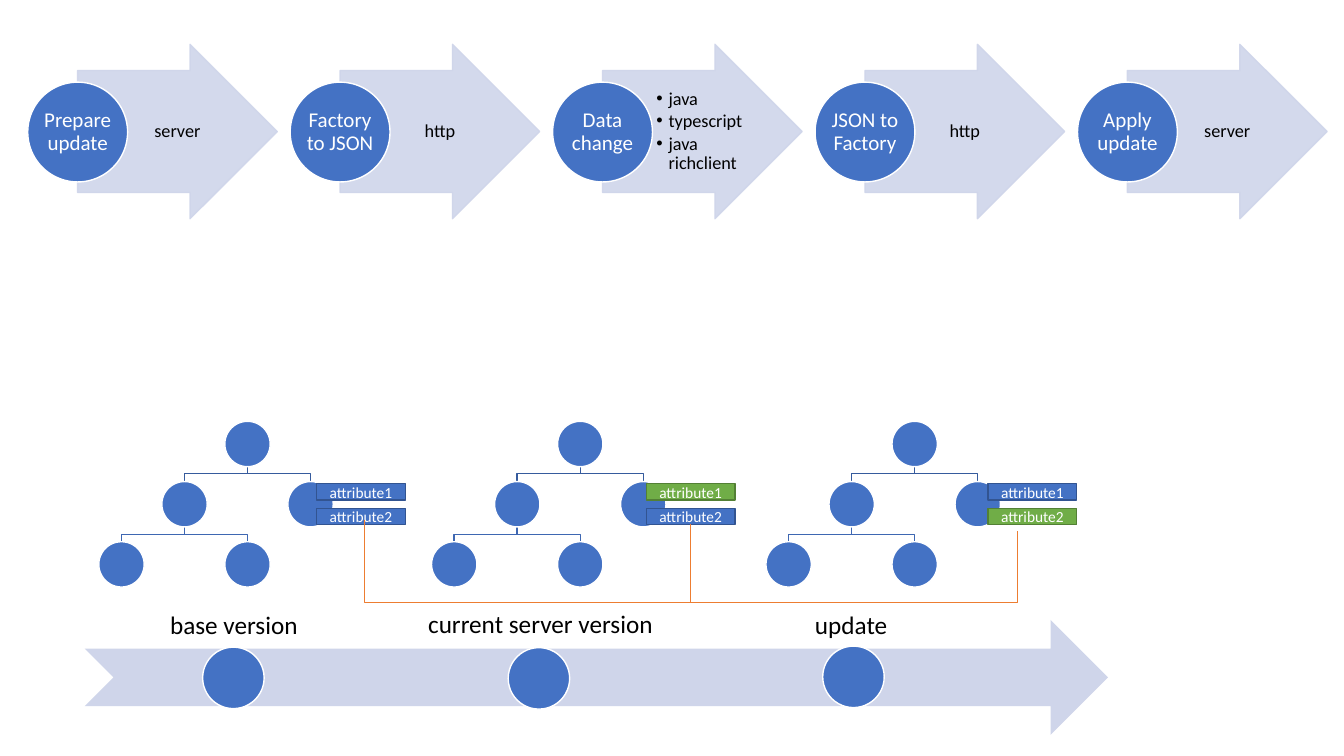
from lxml.etree import SubElement
from pptx import Presentation
from pptx.dml.color import RGBColor
from pptx.enum.shapes import MSO_CONNECTOR, MSO_SHAPE
from pptx.enum.text import MSO_ANCHOR, PP_ALIGN
from pptx.oxml.ns import qn
from pptx.util import Inches, Pt

BLUE, GREEN, PALE, WHITE, BLACK = "4472C4", "70AD47", "CFD5EA", "FFFFFF", "000000"
ORANGE = "ED7D31"
EDGES = {BLUE: "325491", GREEN: "538035"}


def color(form, code):
    """Set a fill or font colour format to a hex colour."""
    form.rgb = RGBColor.from_string(code)


def box(*sizes):
    """Turn inch numbers into lengths."""
    return [Inches(size) for size in sizes]


def fade(shape):
    """Make the fill and line of a shape 90 percent opaque."""
    for tone in shape._element.spPr.iter(qn("a:srgbClr")):
        SubElement(tone, qn("a:alpha"), val="90000")


def form(shapes, kind, place, fill, edge=None):
    """Add a flat preset shape."""
    shape = shapes.add_shape(kind, *box(*place))
    shape.shadow.inherit = False
    shape.fill.solid()
    color(shape.fill.fore_color, fill)
    if edge:
        color(shape.line.color, edge)
        shape.line.width = Pt(1)
    else:
        shape.line.fill.background()
    return shape


def ball(shapes, x, y, size):
    """Add a blue circle centred on a point."""
    place = (x - size / 2, y - size / 2, size, size)
    return form(shapes, MSO_SHAPE.OVAL, place, BLUE, WHITE)


def write(shape, lines, size, tone, pads=(0, 0, 0, 0), space=0.9, bullet=False):
    """Fill a shape with lines of text, centred or bulleted."""
    frame = shape.text_frame
    frame.word_wrap = True
    frame.vertical_anchor = MSO_ANCHOR.MIDDLE
    (frame.margin_left, frame.margin_top,
     frame.margin_right, frame.margin_bottom) = box(*pads)
    frame.text = "\n".join(lines)
    for para in frame.paragraphs:
        para.font.name, para.font.size = "Calibri", Pt(size)
        color(para.font.color, tone)
        para.line_spacing = space
        para.alignment = PP_ALIGN.LEFT if bullet else PP_ALIGN.CENTER
        if bullet:
            para.space_after = Pt(2)
            props = para._p.get_or_add_pPr()
            props.set("marL", str(Inches(0.12)))
            props.set("indent", str(-Inches(0.12)))
            SubElement(props, qn("a:buFont"), typeface="Arial")
            SubElement(props, qn("a:buChar"), char="•")


def step(slide, x, title, notes):
    """Add one process step: arrow, notes and titled circle."""
    shapes = slide.shapes.add_group_shape().shapes
    arrow = form(shapes, MSO_SHAPE.RIGHT_ARROW, (x, 0.44, 1.98, 1.73), PALE, PALE)
    arrow.adjustments[0] = 0.7
    arrow.adjustments[1] = 0.5
    fade(arrow)
    note = shapes.add_textbox(*box(x + 0.495, 0.7, 0.97, 1.21))
    write(note, notes, 13, BLACK, (0.04, 0.01, 0.02, 0.01), bullet=len(notes) > 1)
    write(ball(shapes, x, 1.31, 0.99), [title], 15, WHITE, (0.01,) * 4)


def link(shapes, x, y, end, tone):
    """Add a stepped branch from a parent to a child."""
    points = [(x, y + 0.07), (end, y + 0.07), (end, y + 0.14)]
    path = shapes.build_freeform(*box(x, y), scale=1.0)
    path.add_line_segments([box(*point) for point in points], close=False)
    line = path.convert_to_shape()
    line.shadow.inherit = False
    line.fill.background()
    color(line.line.color, tone)
    line.line.width = Pt(1)


def tree(slide, x):
    """Add a three-level tree with its root at x."""
    shapes = slide.shapes.add_group_shape().shapes
    gap = 0.625
    for top, y, tone in ((x, 4.63, "365B9D"), (x - gap, 5.23, "3E67B2")):
        for side in (gap, -gap):
            link(shapes, top, y, top + side, tone)
    for col, row in ((0, 0), (-1, 1), (-2, 2), (0, 2), (1, 1)):
        ball(shapes, x + col * gap, 4.405 + row * 0.597, 0.45)


def tags(slide, x, fills):
    """Add the two attribute boxes of a tree."""
    for index, fill in enumerate(fills):
        place = (x, 4.8 + index * 0.245, 0.88, 0.16)
        tag = form(slide.shapes, MSO_SHAPE.RECTANGLE, place, fill, EDGES[fill])
        write(tag, [f"attribute{index + 1}"], 11, WHITE, space=1)


def bracket(slide, x, y):
    """Add an orange elbow connector that dips to a shared level."""
    width, rise, floor = 3.24, 0.04, 5.97
    line = slide.shapes.add_connector(
        MSO_CONNECTOR.ELBOW, *box(x, y, x + width, y + rise))
    color(line.line.color, ORANGE)
    line.line.width = Pt(0.5)
    props = line._element.spPr
    SubElement(props, qn("a:effectLst"))
    shape = props.find(qn("a:prstGeom"))
    shape.set("prst", "bentConnector4")
    guides = shape.find(qn("a:avLst"))
    if guides is None:
        guides = SubElement(shape, qn("a:avLst"))
    for name, value in (("adj1", 0), ("adj2", round((floor - y) / rise * 100000))):
        SubElement(guides, qn("a:gd"), name=name, fmla=f"val {value}")


def timeline(slide):
    """Add the notched arrow with its labelled stops."""
    shapes = slide.shapes.add_group_shape().shapes
    form(shapes, MSO_SHAPE.NOTCHED_RIGHT_ARROW, (0.84, 6.15, 10.15, 1.14), PALE)
    stops = (("base version", 1.07, 6.01, 2.5, 2.315, 6.725),
             ("current server version", 3.89, 6, 2.94, 5.345, 6.73),
             ("update ", 6.99, 6.01, 2.96, 8.465, 6.715))
    for name, left, top, width, x, y in stops:
        label = shapes.add_textbox(*box(left, top, width, 0.4))
        write(label, [name], 18, BLACK, (0.12,) * 4)
        ball(shapes, x, y, 0.61)


def main():
    """Build and save the slide."""
    deck = Presentation()
    deck.slide_width, deck.slide_height = box(13.33, 7.5)
    slide = deck.slides.add_slide(deck.slide_layouts[6])
    steps = (("Prepare update", ["server"]),
             ("Factory to JSON", ["http"]),
             ("Data change", ["java", "typescript", "java richclient"]),
             ("JSON to Factory", ["http"]),
             ("Apply update", ["server"]))
    for index, (title, notes) in enumerate(steps):
        step(slide, 0.77 + index * 2.603, title, notes)
    timeline(slide)
    trees = ((2.455, 3.14, (BLUE, BLUE)),
             (5.755, 6.41, (GREEN, BLUE)),
             (9.072, 9.8, (BLUE, GREEN)))
    for root, left, fills in trees:
        tree(slide, root)
        tags(slide, left, fills)
    for x, y in ((3.61, 5.16), (6.85, 5.23)):
        bracket(slide, x, y)
    deck.save("out.pptx")


main()
